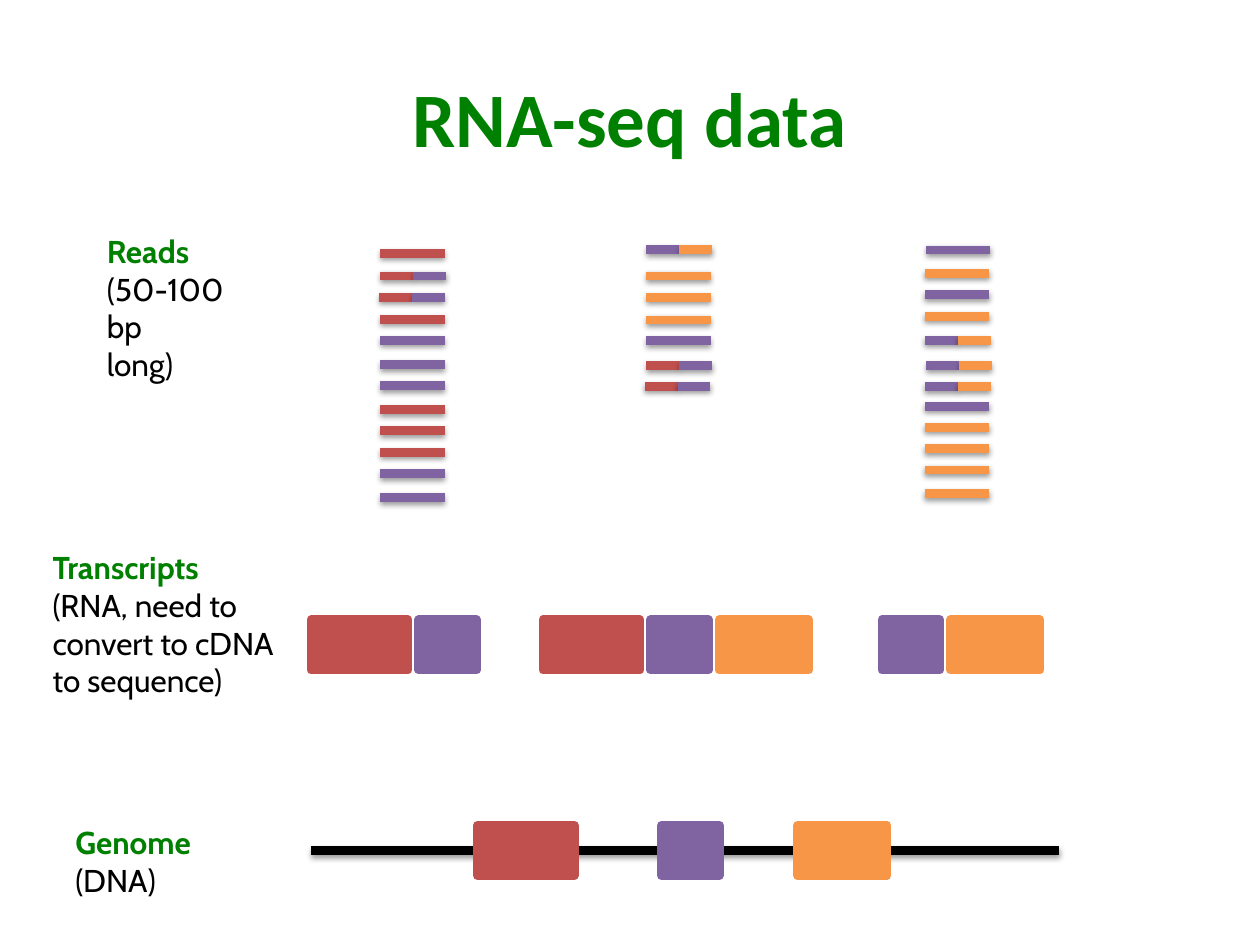
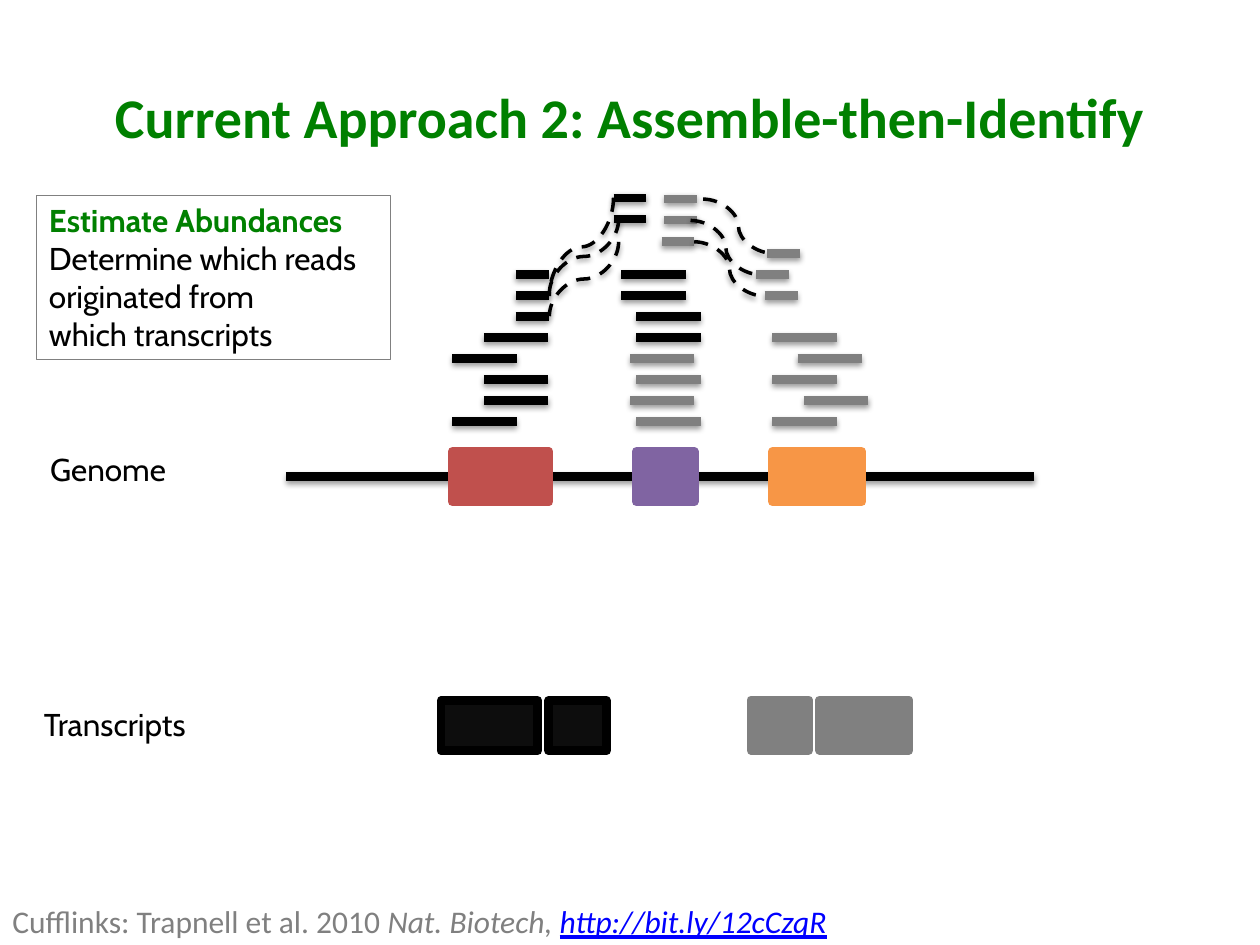
from pptx import Presentation
from pptx.dml.color import RGBColor
from pptx.enum.dml import MSO_LINE
from pptx.enum.shapes import MSO_CONNECTOR, MSO_SHAPE
from pptx.enum.text import MSO_ANCHOR, PP_ALIGN
from pptx.oxml import parse_xml
from pptx.oxml.ns import nsdecls, qn
from pptx.util import Pt

STRAIGHT, CURVE = MSO_CONNECTOR.STRAIGHT, MSO_CONNECTOR.CURVE
RECT, DASH = MSO_SHAPE.RECTANGLE, MSO_LINE.DASH
MIDDLE, TOP, CENTER = MSO_ANCHOR.MIDDLE, MSO_ANCHOR.TOP, PP_ALIGN.CENTER
LEFT_SIDE, RIGHT_SIDE = 1, 3

GREEN, BLACK, GRAY, BLUE = "008000", "000000", "808080", "0000FF"
DARK = "0D0D0D"
EXONS = {"R": "C0504D", "P": "8064A2", "O": "F79646"}
WIDTHS = {"R": 55.4, "P": 33.1, "O": 51.1}
SITES = {"R": 95, "P": 200.2, "O": 278}
EXON_H, EXON_GAP, GENOME_W = 28.8, 6.1, 427.6
THICK, THIN = 5, 2
READ_W, HALF_W = 36.8, 18.8
BASE_Y, ROW_H = 241, 12

SHADOW = (
    f'<a:effectLst {nsdecls("a")}>'
    '<a:outerShdw blurRad="40000" dist="20000" dir="5400000" rotWithShape="0">'
    '<a:srgbClr val="000000"><a:alpha val="38000"/></a:srgbClr>'
    '</a:outerShdw></a:effectLst>'
)

# Reads per column: height, exons covered, shift to the right
READS = {
    217.4: [(144.7, "R", 0), (157.7, "RP", 0), (169.9, "RP", -0.7),
            (182.5, "R", 0), (194.4, "P", 0), (208.4, "P", 0),
            (220.3, "P", 0), (234, "R", 0), (246.2, "R", 0),
            (258.5, "R", 0), (270.7, "P", 0), (284.4, "P", 0)],
    369.4: [(142.6, "PO", 0), (157.7, "O", 0), (169.9, "O", 0),
            (182.9, "O", 0), (194.6, "P", 0), (208.8, "RP", 0),
            (220.7, "RP", -1)],
    528.5: [(142.9, "P", 0.7), (156.2, "O", 0), (168.5, "P", 0),
            (180.7, "O", 0), (194.4, "PO", 0), (208.8, "PO", 0.7),
            (221, "PO", 0), (232.2, "P", 0), (244.1, "O", 0),
            (256.3, "O", 0), (268.6, "O", 0), (282.2, "O", 0)],
}

# Aligned reads: colour, width, left, rows above the genome
STACKS = [
    (BLACK, READ_W, 258.5, [0, 3]),
    (BLACK, READ_W, 276.5, [1, 2, 4]),
    (GRAY, READ_W, 363.6, [0, 2]),
    (GRAY, READ_W, 360, [1, 3]),
    (BLACK, READ_W, 363.6, [4, 5]),
    (BLACK, READ_W, 355, [6, 7]),
    (GRAY, READ_W, 441.4, [0, 2, 4]),
    (GRAY, READ_W, 459.4, [1]),
    (GRAY, READ_W, 455.8, [3]),
    (BLACK, HALF_W, 294.7, [5, 6, 7]),
    (BLACK, HALF_W, 350.6, [9.65, 10.65]),
    (GRAY, HALF_W, 378, [8.57]),
    (GRAY, HALF_W, 379.4, [9.6, 10.6]),
    (GRAY, HALF_W, 437, [6]),
    (GRAY, HALF_W, 432, [7]),
    (GRAY, HALF_W, 438.5, [8]),
]
LEFT_ARCS = [(350.6, 113, 169.2), (353.5, 138.2, 180.7), (353.5, 125.3, 167.8)]
RIGHT_ARCS = [(396.7, 138.2), (394.6, 126), (401.8, 113.8)]
ARC_END, ARC_W, ARC_H = 313.9, 40.3, 31


def rgb(code):
    return RGBColor.from_string(code)


def add_run(para, text, size, color, face="Cabin", bold=False,
            italic=False, under=False):
    run = para.add_run()
    run.text = text
    font = run.font
    font.name, font.size, font.bold = face, Pt(size), bold
    font.italic, font.underline = italic, under
    font.color.rgb = rgb(color)


def add_slide(deck, title, size):
    slide = deck.slides.add_slide(deck.slide_layouts[5])
    head = slide.shapes.title
    head.left, head.top, head.width, head.height = map(Pt, (36, 21.6, 648, 90))
    frame = head.text_frame
    frame.vertical_anchor = MIDDLE
    para = frame.paragraphs[0]
    para.alignment = CENTER
    add_run(para, title, size, GREEN, "Calibri", bold=True)
    return slide


def add_text(slide, left, top, width, height):
    box = slide.shapes.add_textbox(Pt(left), Pt(top), Pt(width), Pt(height))
    box.text_frame.word_wrap = True
    box.text_frame.vertical_anchor = TOP
    return box


def add_label(slide, left, top, width, lines, head=None):
    """Text with one paragraph per line, under an optional green heading."""
    rows = ([(head, GREEN)] if head else []) + [(line, BLACK) for line in lines]
    box = add_text(slide, left, top, width, 7.2 + 21.7 * len(rows))
    frame = box.text_frame
    for num, (text, color) in enumerate(rows):
        para = frame.add_paragraph() if num else frame.paragraphs[0]
        add_run(para, text, 18, color, bold=color == GREEN)
    return box


def add_line(slide, start, end, color, width=THICK, kind=STRAIGHT):
    line = slide.shapes.add_connector(kind, *map(Pt, (*start, *end)))
    line.line.color.rgb = rgb(color)
    line.line.width = Pt(width)
    line._element.spPr.append(parse_xml(SHADOW))
    return line


def add_read(slide, left, y, width, color):
    add_line(slide, (left, y), (left + width, y), color)


def add_arc(slide, start, end, upright=False):
    """Dashed curve; an upright one leaves its start downwards."""
    if upright:
        mid_x, mid_y = (start[0] + end[0]) / 2, (start[1] + end[1]) / 2
        half_w, half_h = (end[1] - start[1]) / 2, (start[0] - end[0]) / 2
        start = mid_x - half_w, mid_y - half_h
        end = mid_x + half_w, mid_y + half_h
    arc = add_line(slide, start, end, BLACK, THIN, CURVE)
    arc.line.dash_style = DASH
    if upright:
        arc._element.spPr.find(qn("a:xfrm")).set("rot", "5400000")


def add_exon(slide, kind, left, top, fill=None, edge=None):
    fill = fill or EXONS[kind]
    box = slide.shapes.add_shape(
        RECT, *map(Pt, (left, top, WIDTHS[kind], EXON_H)))
    box.shadow.inherit = False
    box.fill.solid()
    box.fill.fore_color.rgb = rgb(fill)
    box.line.color.rgb = rgb(edge or fill)
    box.line.width = Pt(THICK)
    return box


def add_genome(slide, left, top):
    """Exons joined by a line that lies behind them."""
    mid = top + EXON_H / 2
    starts = [left] + [left + SITES[k] + WIDTHS[k] for k in SITES]
    ends = [left + SITES[k] for k in SITES] + [left + GENOME_W]
    links = [add_line(slide, (a, mid), (b, mid), BLACK)
             for a, b in zip(starts, ends)]
    for num, (kind, site) in enumerate(SITES.items()):
        exon = add_exon(slide, kind, left + site, top)
        links[num].end_connect(exon, LEFT_SIDE)
        links[num + 1].begin_connect(exon, RIGHT_SIDE)


def add_script(slide, kinds, left, top, fill=None, edge=None):
    """One transcript: exons side by side."""
    for kind in kinds:
        add_exon(slide, kind, left, top, fill, edge)
        left += WIDTHS[kind] + EXON_GAP


def build_data(deck):
    slide = add_slide(deck, "RNA-seq data", 44)
    add_genome(slide, 177.8, 471.6)
    add_label(slide, 36, 466.6, 88, ["(DNA)"], "Genome")
    add_label(slide, 23, 309.6, 150,
              ["(RNA, need to", "convert to cDNA", "to sequence)"],
              "Transcripts")
    for kinds, left in (("RP", 177.8), ("RPO", 310.3), ("PO", 504)):
        add_script(slide, kinds, left, 354.2)
    add_label(slide, 54, 128.9, 101.5, ["(50-100 bp", "long)"], "Reads")
    for left, reads in READS.items():
        for y, kinds, shift in reads:
            width = READ_W if len(kinds) == 1 else HALF_W
            for num, kind in enumerate(kinds):
                add_read(slide, left + shift + num * width, y, width,
                         EXONS[kind])


def build_match(deck):
    slide = add_slide(deck, "Current Approach 2: Assemble-then-Identify", 32)
    add_genome(slide, 163.4, 258)
    add_label(slide, 21.6, 253.4, 88, ["Genome"])
    for color, width, left, rows in STACKS:
        for row in rows:
            add_read(slide, left, BASE_Y - row * ROW_H, width, color)
    for x, y in RIGHT_ARCS:
        add_arc(slide, (x, y), (x + ARC_W, y + ARC_H))
    for x, y, low in LEFT_ARCS:
        add_arc(slide, (x, y), (ARC_END, low), upright=True)
    add_label(slide, 18, 399.6, 106, ["Transcripts"])
    add_script(slide, "RP", 252, 400.3, DARK, BLACK)
    add_script(slide, "PO", 429.1, 400, GRAY)
    source = add_text(slide, 0, 512, 488, 29)
    para = source.text_frame.paragraphs[0]
    add_run(para, "Cufflinks: Trapnell et al. 2010 ", 18, GRAY, "Calibri")
    add_run(para, "Nat. Biotech, ", 18, GRAY, "Calibri", italic=True)
    add_run(para, "http://bit.ly/12cCzqR", 18, BLUE, "Calibri",
            italic=True, under=True)
    note = add_label(slide, 20.9, 111.6, 202.3,
                     ["Determine which reads", "originated from",
                      "which transcripts"], "Estimate Abundances")
    note.line.color.rgb = rgb(GRAY)
    note.line.width = Pt(0.75)


def main():
    deck = Presentation()
    deck.slide_width, deck.slide_height = Pt(720), Pt(540)
    build_data(deck)
    build_match(deck)
    deck.save("out.pptx")


if __name__ == "__main__":
    main()
